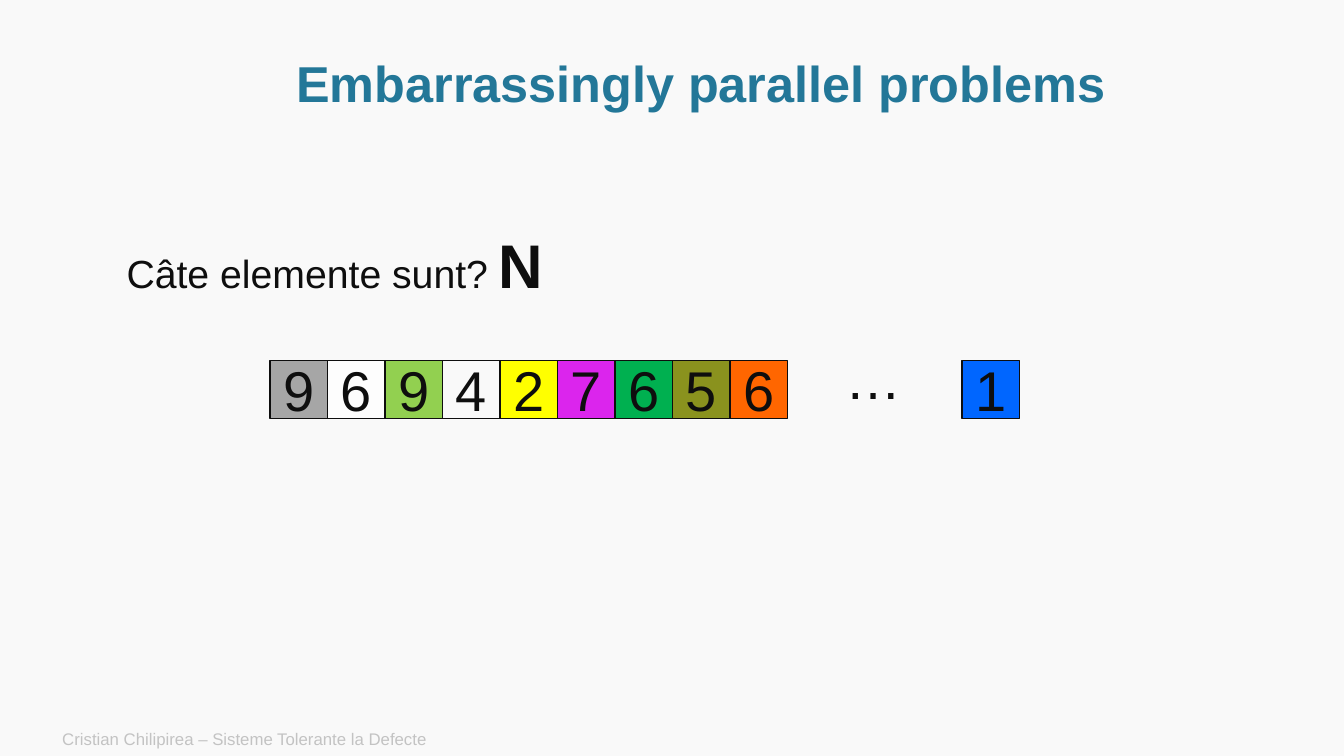
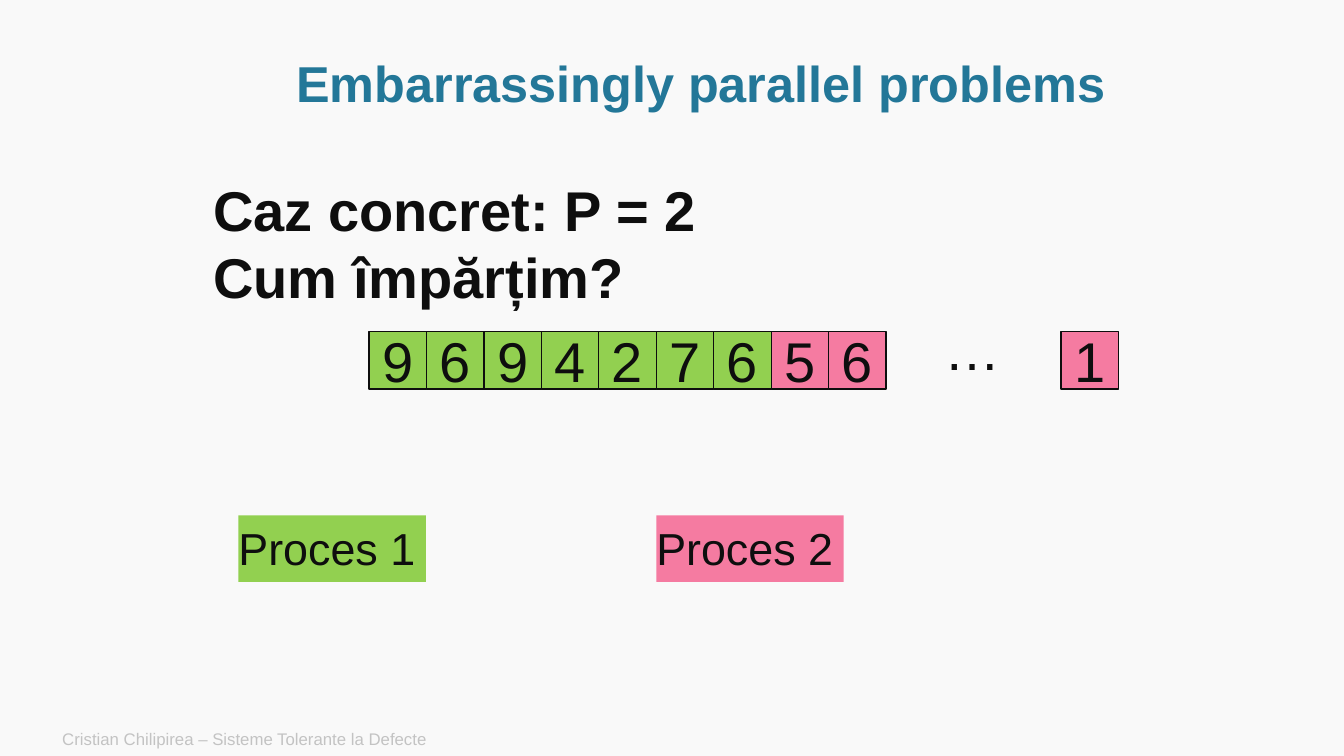
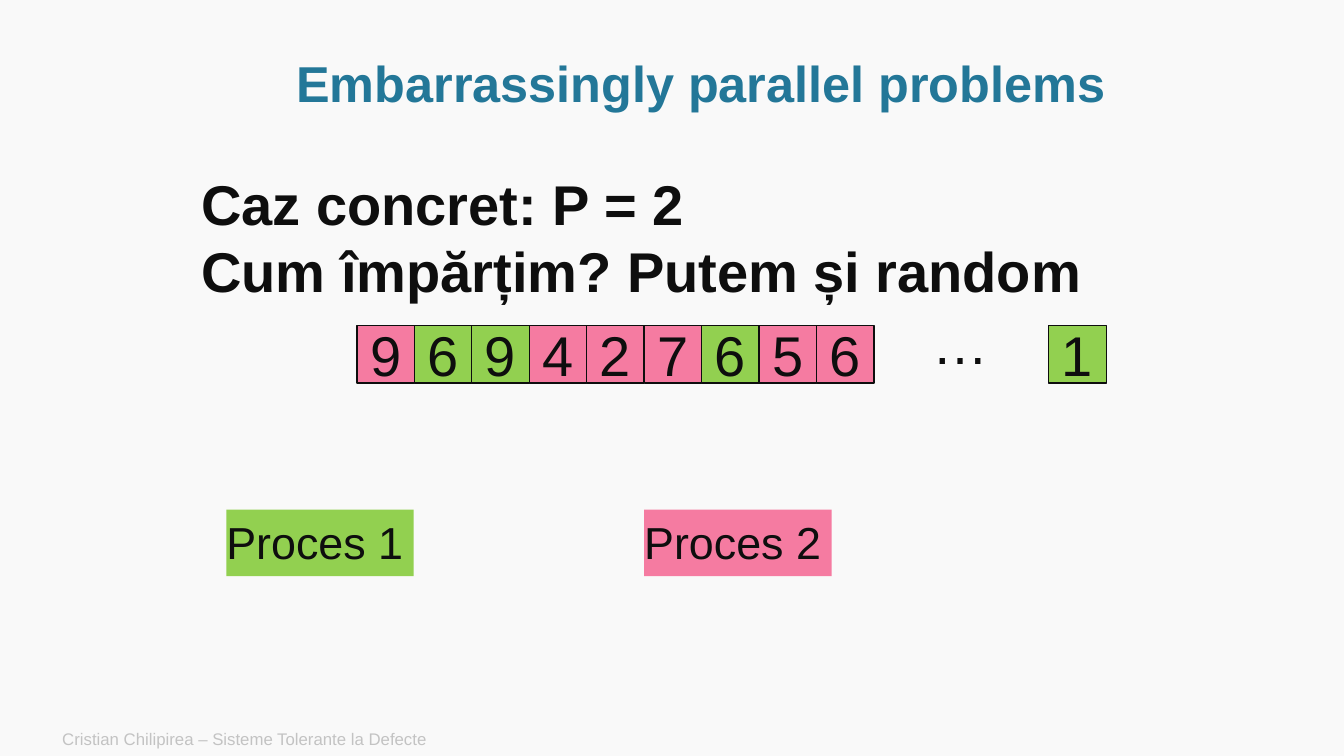
import pptx
import pptx.util
import pptx.dml.color
import pptx.enum.shapes
import pptx.enum.text

RGBColor = pptx.dml.color.RGBColor
Align = pptx.enum.text.PP_ALIGN
Anchor = pptx.enum.text.MSO_ANCHOR

BACKGROUND = RGBColor(0xF9, 0xF9, 0xF9)
INK = RGBColor(0x0E, 0x0E, 0x0E)
TITLE_BLUE = RGBColor(0x23, 0x77, 0x98)
FOOTER_GRAY = RGBColor(0xC3, 0xC3, 0xC3)
GRAY = RGBColor(0xA6, 0xA6, 0xA6)
WHITE = RGBColor(0xFD, 0xFD, 0xFD)
GREEN = RGBColor(0x92, 0xD0, 0x50)
YELLOW = RGBColor(0xFF, 0xFF, 0x00)
MAGENTA = RGBColor(0xDB, 0x25, 0xED)
DARK_GREEN = RGBColor(0x00, 0xB0, 0x50)
OLIVE = RGBColor(0x8A, 0x92, 0x1E)
ORANGE = RGBColor(0xFF, 0x66, 0x00)
BLUE = RGBColor(0x00, 0x66, 0xFF)
PINK = RGBColor(0xF5, 0x7B, 0xA1)

FONT = "Arial"
CELL = 0.57
TITLE = "Embarrassingly parallel problems"
FOOTER = "Cristian Chilipirea – Sisteme Tolerante la Defecte"
DIGITS = "969427656"
LAST_DIGIT = "1"
LAST_COLUMN = 12.04


class Deck:
    def __init__(self):
        self.presentation = pptx.Presentation()
        self.presentation.slide_width = pptx.util.Inches(13.33)
        self.presentation.slide_height = pptx.util.Inches(7.5)
        fill = self.presentation.slide_master.background.fill
        fill.solid()
        fill.fore_color.rgb = BACKGROUND
        self.slide = None
        self.origin = (0, 0)

    def area(self, column, row, columns, rows):
        left, top = self.origin
        lengths = (left + column, top + row, columns, rows)
        return [pptx.util.Inches(length * CELL) for length in lengths]

    def style(self, run, size, color=INK, bold=False):
        run.font.name = FONT
        run.font.size = pptx.util.Pt(size)
        run.font.color.rgb = color
        run.font.bold = bold

    def set_text(self, shape, text, size, color=INK, bold=False, align=Align.LEFT, anchor=Anchor.TOP):
        frame = shape.text_frame
        frame.text = text
        frame.word_wrap = True
        frame.vertical_anchor = anchor
        for paragraph in frame.paragraphs:
            paragraph.alignment = align
            for run in paragraph.runs:
                self.style(run, size, color, bold)
        return frame

    def add_slide(self, column, row):
        self.slide = self.presentation.slides.add_slide(self.presentation.slide_layouts[5])
        self.origin = (0, 0)
        self.text(FOOTER, 12, 0.91, 12.56, 14.74, 0.6, color=FOOTER_GRAY, anchor=Anchor.MIDDLE)
        title = self.slide.shapes.title
        title.left, title.top, title.width, title.height = self.area(2, 0.9, 20.4, 1.21)
        frame = self.set_text(title, TITLE, 36, TITLE_BLUE, True, Align.CENTER, Anchor.MIDDLE)
        frame.auto_size = pptx.enum.text.MSO_AUTO_SIZE.NONE
        frame.paragraphs[0].line_spacing = 0.9
        self.origin = (column, row)

    def text(self, text, size, column, row, columns, rows, **style):
        box = self.slide.shapes.add_textbox(*self.area(column, row, columns, rows))
        return self.set_text(box, text, size, **style)

    def rectangle(self, text, size, column, row, columns, rows, color, **style):
        shape = self.slide.shapes.add_shape(
            pptx.enum.shapes.MSO_SHAPE.RECTANGLE, *self.area(column, row, columns, rows))
        shape.shadow.inherit = False
        if color is None:
            shape.fill.background()
        else:
            shape.fill.solid()
            shape.fill.fore_color.rgb = color
        self.set_text(shape, text, size, **style)
        return shape

    def cell(self, digit, column, color):
        shape = self.rectangle(digit, 40, column, 0, 1, 1, color,
                               align=Align.CENTER, anchor=Anchor.MIDDLE)
        shape.line.color.rgb = INK
        shape.line.width = pptx.util.Pt(1)

    def array(self, colors, last_color):
        for column, (digit, color) in enumerate(zip(DIGITS, colors)):
            self.cell(digit, column, color)
        self.cell(LAST_DIGIT, LAST_COLUMN, last_color)
        self.text("…", 40, 9.84, -0.39, 1.33, 1.35).word_wrap = False

    def question(self, text, answer):
        frame = self.text(text, 28, -2.67, -2.42, 12.16, 1.47)
        run = frame.paragraphs[0].add_run()
        run.text = answer
        self.style(run, 44, bold=True)

    def heading(self, text, columns):
        self.text(text, 40, -2.88, -2.81, columns, 2.54, bold=True)

    def processes(self):
        for index, color in enumerate((GREEN, PINK)):
            shape = self.rectangle(f"Proces {index + 1}", 32, -2.27 + index * 7.27, 3.2,
                                   3.26, 1.16, color)
            shape.line.fill.background()
            shape.text_frame.margin_left = shape.text_frame.margin_right = 0


def main():
    deck = Deck()

    deck.add_slide(4.7, 6.28)
    deck.array([GRAY, WHITE, GREEN, None, YELLOW, MAGENTA, DARK_GREEN, OLIVE, ORANGE], BLUE)
    deck.question("Câte elemente sunt? ", "N")

    deck.add_slide(6.42, 5.77)
    deck.array([GREEN] * 7 + [PINK] * 2, PINK)
    deck.heading("Caz concret: P = 2\nCum împărțim?", 10.88)
    deck.processes()

    deck.add_slide(6.21, 5.67)
    deck.array([PINK, GREEN, GREEN, PINK, PINK, PINK, GREEN, PINK, PINK], GREEN)
    deck.heading("Caz concret: P = 2\nCum împărțim? Putem și random", 16.33)
    deck.processes()

    deck.presentation.save("out.pptx")


if __name__ == "__main__":
    main()
